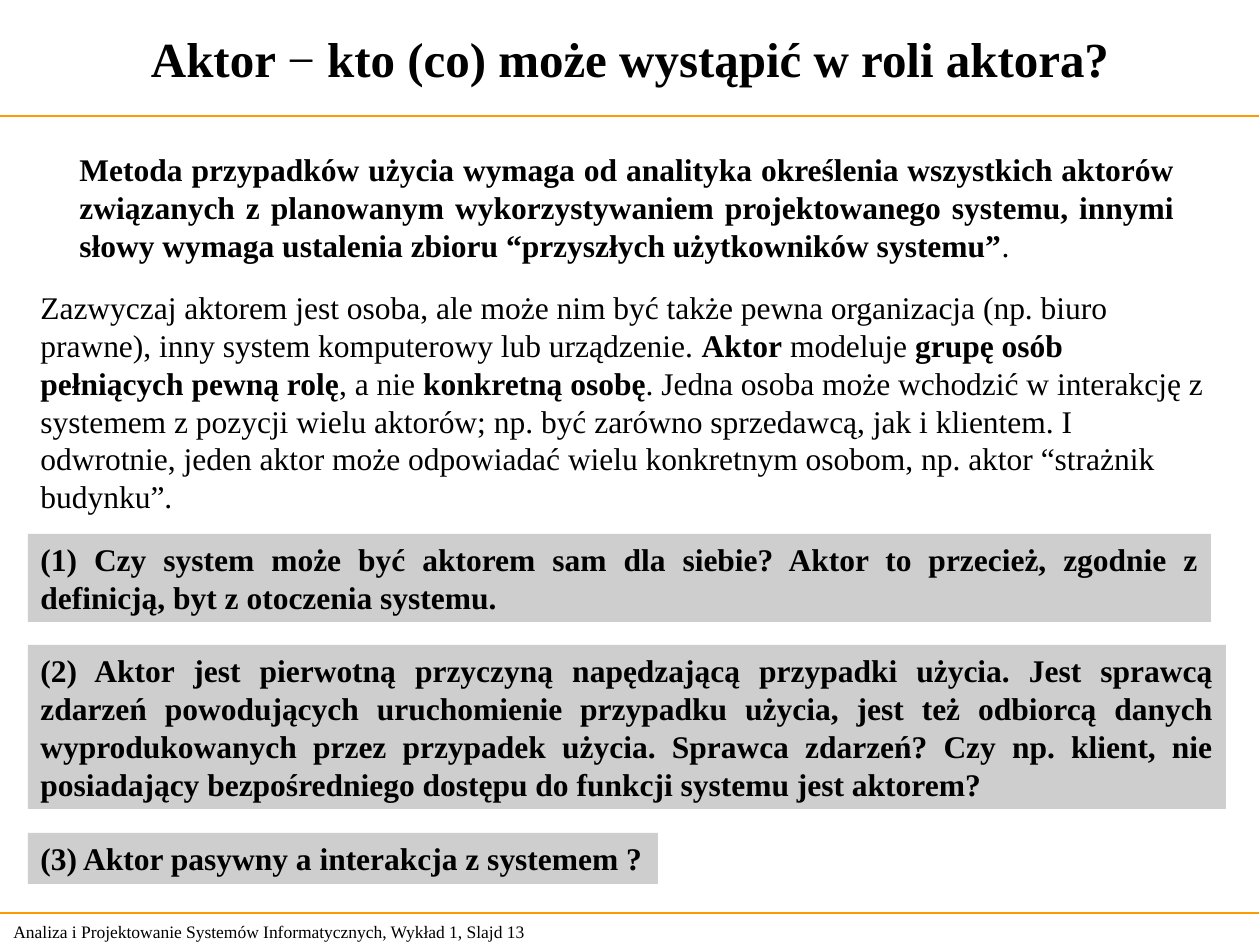
import pptx
import pptx.dml.color
import pptx.enum.shapes
import pptx.enum.text
import pptx.util
from lxml import etree

PX = 914400 // 126
BLACK = pptx.dml.color.RGBColor(0x00, 0x00, 0x00)
ORANGE = pptx.dml.color.RGBColor(0xFF, 0x99, 0x00)
GREY = pptx.dml.color.RGBColor(0xCE, 0xCE, 0xCE)
ALIGN = pptx.enum.text.PP_ALIGN
ANCHOR = pptx.enum.text.MSO_ANCHOR


def place(shape, left, top, width, height):
    shape.left, shape.top = left * PX, top * PX
    shape.width, shape.height = width * PX, height * PX


def write(shape, runs, size, alignment, anchor=ANCHOR.TOP, wrap=True):
    frame = shape.text_frame
    frame.word_wrap = wrap
    frame.auto_size = pptx.enum.text.MSO_AUTO_SIZE.NONE
    frame.vertical_anchor = anchor
    paragraph = frame.paragraphs[0]
    paragraph.alignment = alignment
    for text, bold in runs:
        run = paragraph.add_run()
        run.text = text
        run.font.name = "Times New Roman"
        run.font.size = pptx.util.Pt(size)
        run.font.bold = bold
        run.font.color.rgb = BLACK


presentation = pptx.Presentation()
presentation.slide_width = 1260 * PX
presentation.slide_height = 945 * PX
slide = presentation.slides.add_slide(presentation.slide_layouts[5])

title = slide.shapes.title
place(title, 0, 0, 1260, 116)
title_runs = [
    ("Aktor ", True),
    ("− ", False),
    ("kto (co) może wystąpić w roli aktora?", True),
]
write(title, title_runs, 28, ALIGN.CENTER, ANCHOR.MIDDLE)

for y in (116, 913):
    rule = slide.shapes.add_connector(
        pptx.enum.shapes.MSO_CONNECTOR.STRAIGHT, -1 * PX, y * PX, 1259 * PX, y * PX
    )
    rule.line.color.rgb = ORANGE
    rule.line.width = pptx.util.Pt(0.75)
    etree.SubElement(rule._element.spPr, pptx.oxml.ns.qn("a:effectLst"))

footer_runs = [
    ("Analiza i Projektowanie Systemów Informatycznych, Wykład 1, Slajd 13", False),
]
method_runs = [
    (
        "Metoda przypadków użycia wymaga od analityka określenia wszystkich aktorów "
        "związanych z planowanym wykorzystywaniem projektowanego systemu, innymi słowy "
        "wymaga ustalenia zbioru “przyszłych użytkowników systemu”",
        True,
    ),
    (".", False),
]
actor_runs = [
    (
        "Zazwyczaj aktorem jest osoba, ale może nim być także pewna organizacja "
        "(np. biuro prawne), inny system komputerowy lub urządzenie. ",
        False,
    ),
    ("Aktor", True),
    (" modeluje ", False),
    ("grupę osób pełniących pewną rolę", True),
    (", a nie ", False),
    ("konkretną osobę", True),
    (
        ". Jedna osoba może wchodzić w interakcję z systemem z pozycji wielu aktorów; "
        "np. być zarówno sprzedawcą, jak i klientem. I odwrotnie, jeden aktor może "
        "odpowiadać wielu konkretnym osobom, np. aktor “strażnik budynku”.",
        False,
    ),
]
texts = [
    ((1, 914, 599, 34), footer_runs, 10, ALIGN.LEFT, ANCHOR.MIDDLE),
    ((67, 144, 1120, 131), method_runs, 18, ALIGN.JUSTIFY, ANCHOR.TOP),
    ((28, 282, 1192, 239), actor_runs, 18, ALIGN.LEFT, ANCHOR.TOP),
]
for box, runs, size, alignment, anchor in texts:
    text_box = slide.shapes.add_textbox(0, 0, 0, 0)
    place(text_box, *box)
    write(text_box, runs, size, alignment, anchor)

questions = [
    (
        534, 1183, 88, True,
        "(1) Czy system może być aktorem sam dla siebie? Aktor to przecież, zgodnie z "
        "definicją, byt z otoczenia systemu.",
    ),
    (
        645, 1198, 164, True,
        "(2) Aktor jest pierwotną przyczyną napędzającą przypadki użycia. Jest sprawcą "
        "zdarzeń powodujących uruchomienie przypadku użycia, jest też odbiorcą danych "
        "wyprodukowanych przez przypadek użycia. Sprawca zdarzeń? Czy np. klient, nie "
        "posiadający bezpośredniego dostępu do funkcji systemu jest aktorem?",
    ),
    (833, 630, 51, False, "(3) Aktor pasywny a interakcja z systemem ?"),
]
for top, width, height, wrap, text in questions:
    question = slide.shapes.add_shape(
        pptx.enum.shapes.MSO_SHAPE.RECTANGLE, 0, 0, 0, 0
    )
    place(question, 28, top, width, height)
    question.shadow.inherit = False
    question.fill.solid()
    question.fill.fore_color.rgb = GREY
    question.line.fill.background()
    write(question, [(text, True)], 18, ALIGN.JUSTIFY, wrap=wrap)

presentation.save("out.pptx")
